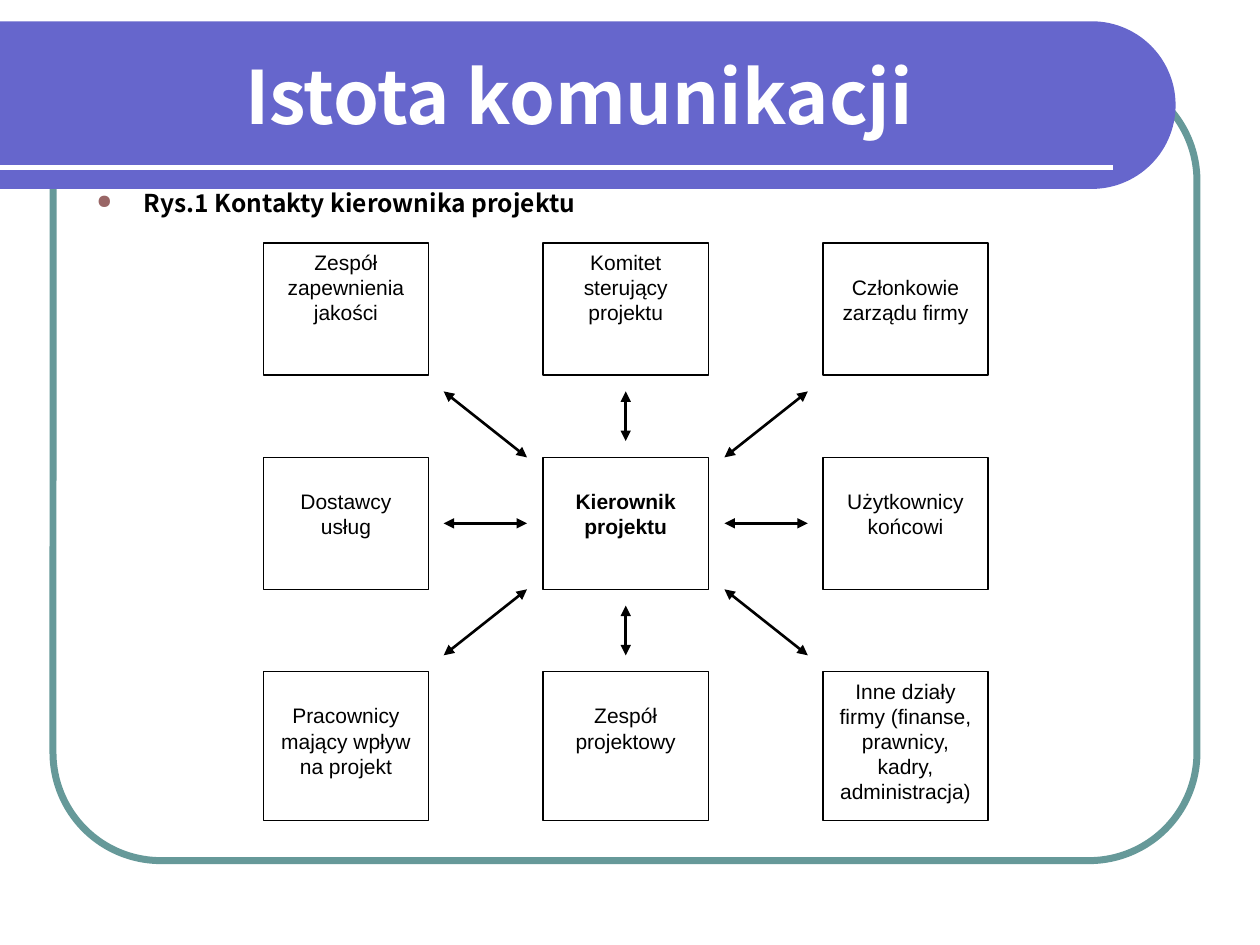
import math

import lxml.etree
import pptx
import pptx.dml.color
import pptx.enum.shapes
import pptx.enum.text
import pptx.oxml.ns
import pptx.util

Cm = pptx.util.Cm
Pt = pptx.util.Pt
qn = pptx.oxml.ns.qn
ALIGN = pptx.enum.text.PP_ALIGN
ANCHOR = pptx.enum.text.MSO_ANCHOR
SHAPE = pptx.enum.shapes.MSO_SHAPE

COLOURS = {
    "band": "6666CC",
    "frame": "669999",
    "bullet": "996666",
    "white": "FFFFFF",
    "black": "000000",
}
HEADING_FONT = "Noto Sans CJK JP"
BODY_FONT = "Arial"


def colour(name):
    return pptx.dml.color.RGBColor.from_string(COLOURS[name])


def add_element(parent, tag, **attributes):
    return lxml.etree.SubElement(parent, qn(tag), attributes)


class SlideBuilder:
    """Holds the style and the current slide; lengths are centimetres."""

    def __init__(self, slide):
        self.slide = slide

    def paint(self, shape, fill=None, line=None, width=0.75):
        shape.shadow.inherit = False
        if fill:
            shape.fill.solid()
            shape.fill.fore_color.rgb = colour(fill)
        else:
            shape.fill.background()
        if line:
            shape.line.color.rgb = colour(line)
            shape.line.width = Pt(width)
        else:
            shape.line.fill.background()

    def set_text(self, shape, text, size, font, ink="black", bold=False,
                 align=ALIGN.LEFT, anchor=ANCHOR.TOP, top=0.13, bullet=False):
        frame = shape.text_frame
        frame.word_wrap = True
        frame.vertical_anchor = anchor
        frame.margin_left = frame.margin_right = Cm(0.25)
        frame.margin_top, frame.margin_bottom = Cm(top), Cm(0.13)
        para = frame.paragraphs[0]
        para.alignment = align
        if bullet:
            self.add_bullet(para)
        span = para.add_run()
        span.text = text
        span.font.name = font
        span.font.size = Pt(size)
        span.font.bold = bold
        span.font.color.rgb = colour(ink)

    def add_bullet(self, para):
        properties = para._p.get_or_add_pPr()
        properties.set("marL", str(Cm(0.95)))
        properties.set("indent", str(-Cm(0.95)))
        holder = add_element(properties, "a:buClr")
        add_element(holder, "a:srgbClr", val=COLOURS["bullet"])
        add_element(properties, "a:buSzPct", val="80000")
        add_element(properties, "a:buChar", char="●")

    def frame(self, left, top, width, height, rounding):
        shape = self.slide.shapes.add_shape(
            SHAPE.ROUNDED_RECTANGLE, Cm(left), Cm(top), Cm(width), Cm(height))
        shape.adjustments[0] = rounding
        self.paint(shape, line="frame", width=4)

    def band(self, top, width, height, steps=60):
        """A bar from the left slide edge with a half-round right end."""
        radius = height / 2
        arc = []
        for step in range(steps + 1):
            angle = math.pi * (step / steps - 0.5)
            arc.append((Cm(width - radius + radius * math.cos(angle)),
                        Cm(top + radius + radius * math.sin(angle))))
        outline = self.slide.shapes.build_freeform(Cm(0), Cm(top))
        outline.add_line_segments(arc + [(Cm(0), Cm(top + height))], close=True)
        self.paint(outline.convert_to_shape(), fill="band")

    def text(self, left, top, width, height, words, size, **style):
        box = self.slide.shapes.add_textbox(
            Cm(left), Cm(top), Cm(width), Cm(height))
        self.set_text(box, words, size, HEADING_FONT, bold=True, **style)

    def box(self, left, top, width, height, words, lowered, bold):
        shape = self.slide.shapes.add_shape(
            SHAPE.RECTANGLE, Cm(left), Cm(top), Cm(width), Cm(height))
        self.paint(shape, fill="white", line="black")
        self.set_text(shape, words, 12, BODY_FONT, bold=bold,
                      align=ALIGN.CENTER, top=0.63 if lowered else 0.13)

    def line(self, start, end, ink, width, arrows=False):
        connector = self.slide.shapes.add_connector(
            pptx.enum.shapes.MSO_CONNECTOR.STRAIGHT,
            Cm(start[0]), Cm(start[1]), Cm(end[0]), Cm(end[1]))
        connector.line.color.rgb = colour(ink)
        connector.line.width = Pt(width)
        if arrows:
            stroke = connector.line._get_or_add_ln()
            for tag in ("a:headEnd", "a:tailEnd"):
                add_element(stroke, tag, type="triangle")
        add_element(connector._element.spPr, "a:effectLst")


def main():
    deck = pptx.Presentation()
    deck.slide_width, deck.slide_height = Cm(25.4), Cm(19.05)
    page = SlideBuilder(deck.slides.add_slide(deck.slide_layouts[6]))

    # Background decoration
    page.frame(1.07, 1.47, 23.06, 15.88, 0.137)
    page.band(0.43, 23.7, 3.38)
    page.line((0, 3.38), (22.43, 3.38), "white", 3)

    # Title and caption
    page.text(0.53, 0.64, 22.28, 2.54, "Istota komunikacji", 42,
              ink="white", align=ALIGN.CENTER, anchor=ANCHOR.MIDDLE)
    page.text(1.7, 3.66, 22.02, 12.27, "Rys.1 Kontakty kierownika projektu",
              14, bullet=True)

    # Contacts around the project manager: text, lowered by one line or not
    contacts = [
        [("Zespół zapewnienia jakości", False),
         ("Komitet sterujący projektu", False),
         ("Członkowie zarządu firmy", True)],
        [("Dostawcy usług", True),
         ("Kierownik projektu", True),
         ("Użytkownicy końcowi", True)],
        [("Pracownicy mający wpływ na projekt", True),
         ("Zespół projektowy", True),
         ("Inne działy firmy (finanse, prawnicy, kadry, administracja)", False)],
    ]
    left, top, width = 5.31, 4.9, 3.33
    column_step, row_step = 5.64, 4.32
    heights = [2.66, 2.66, 3.0]
    for row, entries in enumerate(contacts):
        for column, (words, lowered) in enumerate(entries):
            page.box(left + column * column_step, top + row * row_step,
                     width, heights[row], words, lowered,
                     bold=(row == column == 1))

    # Two-way arrows from the centre box to its eight neighbours
    centre_x = left + column_step + width / 2
    centre_y = top + row_step + heights[1] / 2
    for down in (-1, 0, 1):
        for across in (-1, 0, 1):
            if not (down or across):
                continue
            near_y = 1.33 if across else 1.66
            page.line((centre_x + across * 1.99, centre_y + down * near_y),
                      (centre_x + across * 3.67, centre_y + down * 2.66),
                      "black", 1.5, arrows=True)

    deck.save("out.pptx")


if __name__ == "__main__":
    main()
